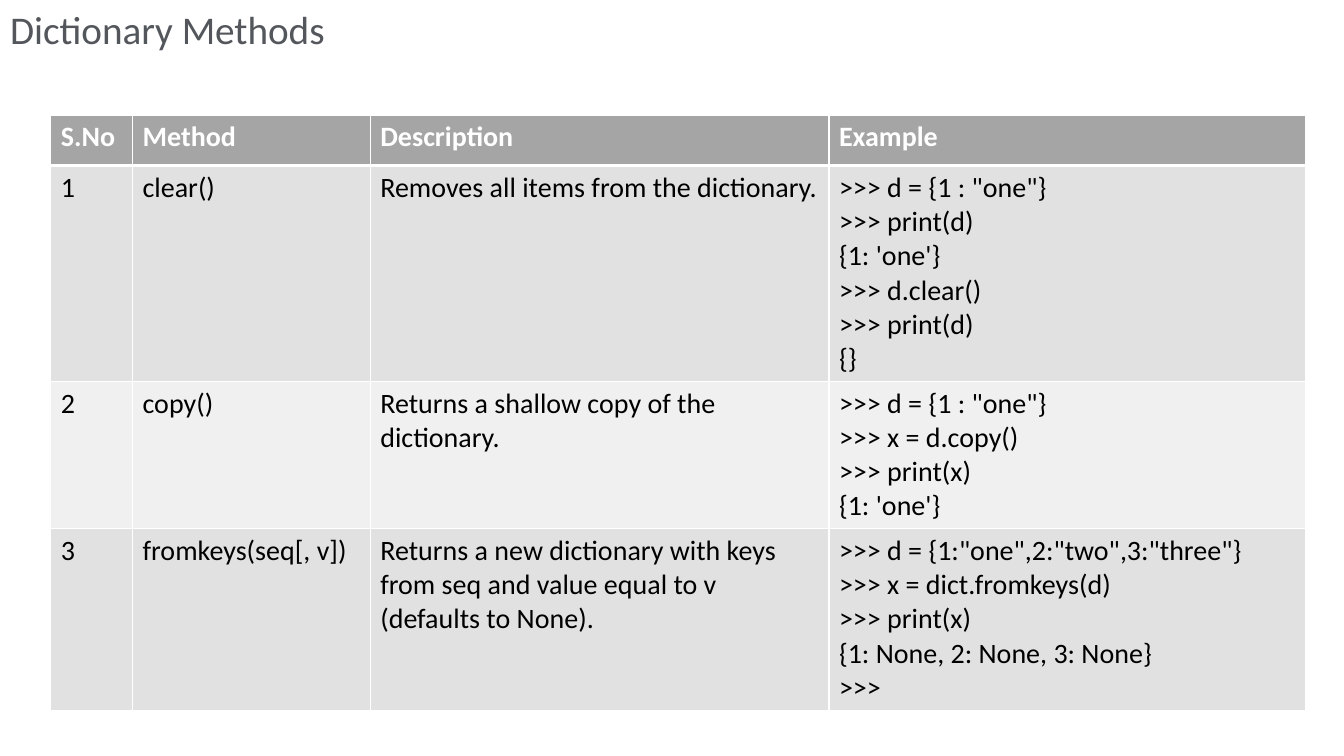
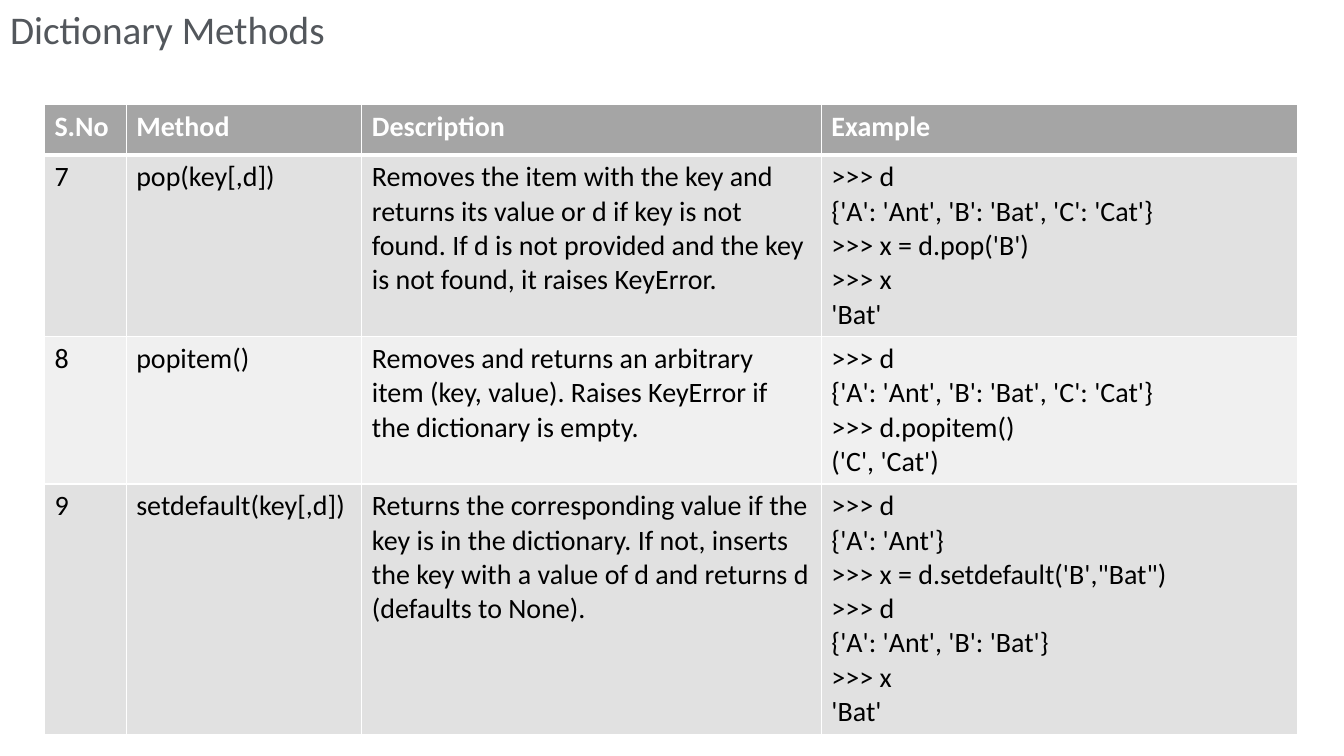
from lxml.etree import SubElement
from pptx import Presentation
from pptx.dml.color import RGBColor
from pptx.enum.text import MSO_ANCHOR, PP_ALIGN
from pptx.oxml.ns import qn
from pptx.util import Cm, Pt

FONT = "Calibri"
TITLE_GREY = RGBColor(0x53, 0x57, 0x5C)
HEADER_GREY = RGBColor(0xA5, 0xA5, 0xA5)
BAND_GREYS = (RGBColor(0xE1, 0xE1, 0xE1), RGBColor(0xF0, 0xF0, 0xF0))
WHITE = RGBColor(0xFF, 0xFF, 0xFF)
BLACK = RGBColor(0, 0, 0)

TITLE = "Dictionary Methods"
HEADERS = ("S.No", "Method", "Description", "Example")
HEADER_HEIGHT = 1.27
LINE_HEIGHT = 0.84
CELL_PADDING = 0.25

# Positions and column widths are in centimetres.
SLIDES = [
    {
        "position": (1.28, 2.9),
        "widths": (2.06, 5.99, 11.56, 12.01),
        "methods": [
            ("1", "clear()", "Removes all items from the dictionary.",
             ['>>> d = {1 : "one"}', ">>> print(d)", "{1: 'one'}",
              ">>> d.clear()", ">>> print(d)", "{}"]),
            ("2", "copy()", "Returns a shallow copy of the dictionary.",
             ['>>> d = {1 : "one"}', ">>> x = d.copy()", ">>> print(x)",
              "{1: 'one'}"]),
            ("3", "fromkeys(seq[, v])",
             "Returns a new dictionary with keys from seq and value equal to v "
             "(defaults to None).",
             ['>>> d = {1:"one",2:"two",3:"three"}', ">>> x = dict.fromkeys(d)",
              ">>> print(x)", "{1: None, 2: None, 3: None}", ">>>"]),
        ],
    },
    {
        "position": (1.12, 2.64),
        "widths": (2.06, 5.94, 11.58, 12.01),
        "methods": [
            ("7", "pop(key[,d])",
             "Removes the item with the key and returns its value or d if key is "
             "not found. If d is not provided and the key is not found, it raises "
             "KeyError.",
             [">>> d", "{'A': 'Ant', 'B': 'Bat', 'C': 'Cat'}",
              ">>> x = d.pop('B')", ">>> x", "'Bat'"]),
            ("8", "popitem()",
             "Removes and returns an arbitrary item (key, value). Raises KeyError "
             "if the dictionary is empty.",
             [">>> d", "{'A': 'Ant', 'B': 'Bat', 'C': 'Cat'}",
              ">>> d.popitem()", "('C', 'Cat')"]),
            ("9", "setdefault(key[,d])",
             "Returns the corresponding value if the key is in the dictionary. If "
             "not, inserts the key with a value of d and returns d (defaults to "
             "None).",
             [">>> d", "{'A': 'Ant'}", ">>> x = d.setdefault('B',\"Bat\")",
              ">>> d", "{'A': 'Ant', 'B': 'Bat'}", ">>> x", "'Bat'"]),
        ],
    },
]


def format_text(frame, size, color, bold=False):
    for para in frame.paragraphs:
        para.alignment = PP_ALIGN.LEFT
        for span in para.runs:
            span.font.name = FONT
            span.font.size = Pt(size)
            span.font.bold = bold
            span.font.color.rgb = color


def add_title(page):
    title = page.shapes.title
    title.left, title.top, title.width, title.height = 0, 0, Cm(8.46), Cm(1.45)
    frame = title.text_frame
    frame.text = TITLE
    frame.word_wrap = False
    frame.vertical_anchor = MSO_ANCHOR.TOP
    format_text(frame, 28, TITLE_GREY)


def set_borders(cell, top, bottom):
    """Draw white borders; the side ones are 1 pt, top and bottom as given."""
    properties = cell._tc.get_or_add_tcPr()
    for side, points in (("L", 1), ("R", 1), ("T", top), ("B", bottom)):
        line = SubElement(properties, qn(f"a:ln{side}"), w=str(Pt(points)))
        fill = SubElement(line, qn("a:solidFill"))
        SubElement(fill, qn("a:srgbClr"), val=str(WHITE))


def fill_row(table, row, texts):
    is_header = row == 0
    for column, text in enumerate(texts):
        cell = table.cell(row, column)
        set_borders(cell, 3 if row == 1 else 1, 3 if is_header else 1)
        cell.fill.solid()
        cell.fill.fore_color.rgb = HEADER_GREY if is_header else BAND_GREYS[(row - 1) % 2]
        cell.text_frame.text = text
        format_text(cell.text_frame, 20, WHITE if is_header else BLACK, is_header)


def add_method_table(page, position, widths, methods):
    heights = [HEADER_HEIGHT] + [
        LINE_HEIGHT * len(example) + CELL_PADDING for *_, example in methods]
    left, top = position
    table = page.shapes.add_table(
        len(heights), len(widths),
        Cm(left), Cm(top), Cm(sum(widths)), Cm(sum(heights))).table
    table.horz_banding = False
    for column, width in zip(table.columns, widths):
        column.width = Cm(width)
    for row, height in zip(table.rows, heights):
        row.height = Cm(height)

    fill_row(table, 0, HEADERS)
    for row, (*texts, example) in enumerate(methods, start=1):
        fill_row(table, row, [*texts, "\n".join(example)])


def main():
    deck = Presentation()
    deck.slide_width, deck.slide_height = Cm(33.87), Cm(19.05)
    title_only = deck.slide_layouts[5]
    for content in SLIDES:
        page = deck.slides.add_slide(title_only)
        add_title(page)
        add_method_table(page, **content)
    deck.save("out.pptx")


if __name__ == "__main__":
    main()
